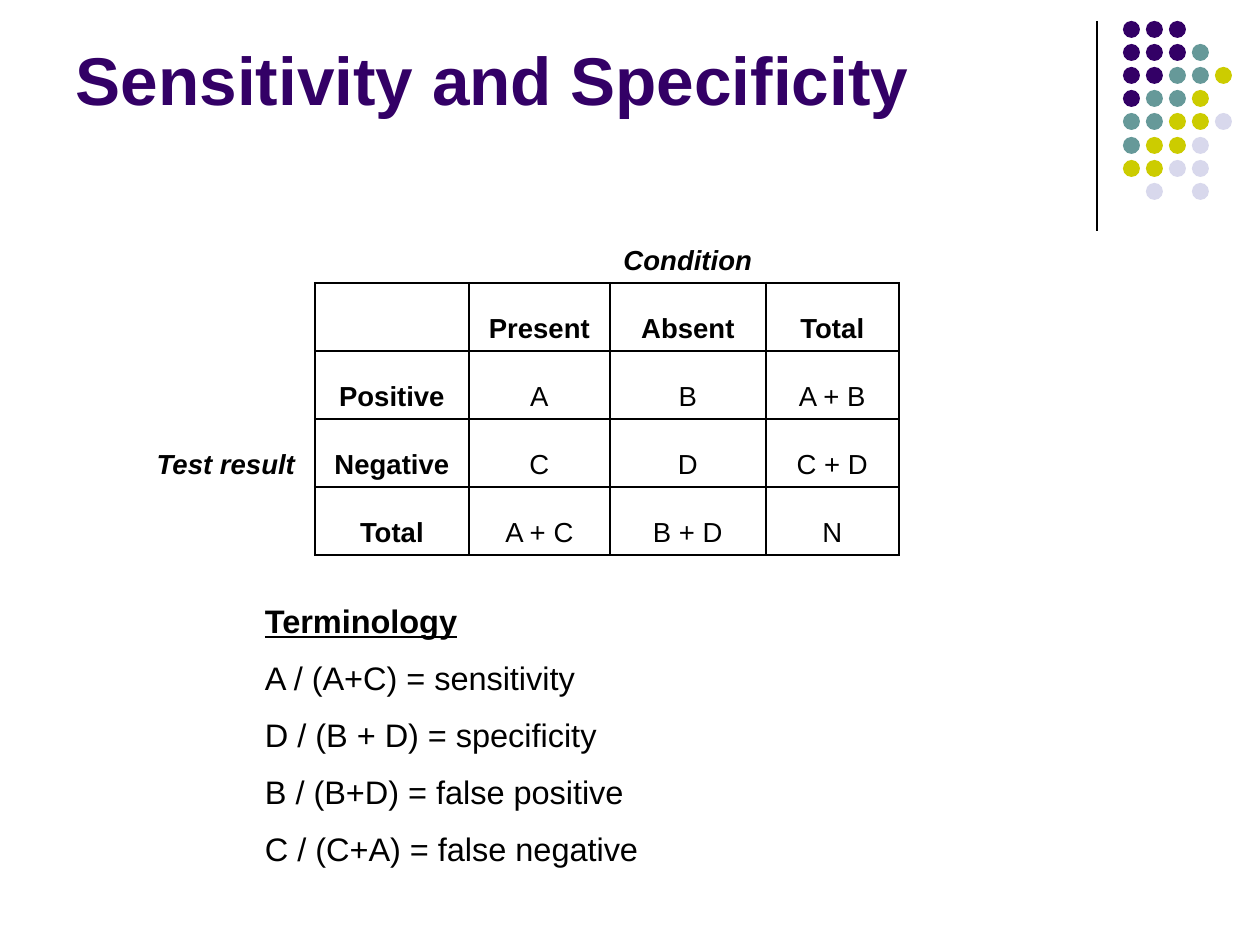
"""Build the sensitivity and specificity slide."""
from lxml import etree
from pptx import Presentation, util as u
from pptx.dml.color import RGBColor
from pptx.enum import shapes, text
from pptx.oxml.ns import qn

PX = 914400 // 180
FONT = "Arial"
COLORS = {"black": "000000", "white": "FFFFFF", "P": "330066",
          "T": "669999", "Y": "CCCC00", "L": "D8D8EC"}
DOTS = ["PPP", "PPPT", "PPTTY", "PTTY", "TTYYL", "TYYL", "YYLL", " L L"]
TITLE = "Sensitivity and Specificity"
TABLE = [
    ["", "", "", "Condition", ""],
    ["", "", "Present", "Absent", "Total"],
    ["", "Positive", "A", "B", "A + B"],
    ["Test result", "Negative", "C", "D", "C + D"],
    ["", "Total", "A + C", "B + D", "N"],
]
COLS = [178, 154, 141, 156, 133]
ROWS = [110, 68, 68, 68, 68]
TERMS = ["Terminology", "A / (A+C) = sensitivity", "D / (B + D) = specificity",
         "B / (B+D) = false positive", "C / (C+A) = false negative"]


def rgb(name):
    return RGBColor.from_string(COLORS[name])


def px(*values):
    return [u.Emu(v * PX) for v in values]


def style(font, size, color="black", **formats):
    values = {"name": FONT, "size": u.Pt(size), "bold": False, **formats}
    for key, value in values.items():
        setattr(font, key, value)
    font.color.rgb = rgb(color)


def inset(target):
    for side, value in zip(("left", "top", "right", "bottom"), px(13, 7, 13, 7)):
        setattr(target, f"margin_{side}", value)


def add_text(s, box, anchor):
    tf = s.shapes.add_textbox(*px(*box)).text_frame
    tf.word_wrap = True
    tf.vertical_anchor = anchor
    inset(tf)
    return tf


def add_borders(cell, row, col):
    sides = {"L": row and col, "R": row, "T": row and col, "B": col}
    for side, visible in sides.items():
        ln = etree.SubElement(cell._tc.get_or_add_tcPr(), qn(f"a:ln{side}"), w="12700")
        if visible:
            fill = etree.SubElement(ln, qn("a:solidFill"))
            etree.SubElement(fill, qn("a:srgbClr"), val=COLORS["black"])
        else:
            etree.SubElement(ln, qn("a:noFill"))


def fill_cell(cell, row, col, words):
    add_borders(cell, row, col)
    cell.fill.solid()
    cell.fill.fore_color.rgb = rgb("white")
    cell.vertical_anchor = text.MSO_ANCHOR.BOTTOM
    inset(cell)
    p = cell.text_frame.paragraphs[0]
    p.alignment = text.PP_ALIGN.CENTER
    if words:
        r = p.add_run()
        r.text = words
        style(r.font, 11, bold=row < 2 or col < 2, italic=row == 0 or col == 0)
    else:
        etree.SubElement(p._p, qn("a:endParaRPr"), sz="1100")


def add_decoration(s):
    line = s.shapes.add_connector(shapes.MSO_CONNECTOR.STRAIGHT, *px(1097, 21, 1097, 231))
    line.line.color.rgb = rgb("black")
    line.line.width = u.Pt(0.75)
    etree.SubElement(line._element.spPr, qn("a:effectLst"))
    for row, keys in enumerate(DOTS):
        for col, key in enumerate(keys):
            if key == " ":
                continue
            x, y = 1123 + col * 116 // 5, 21 + row * 116 // 5
            dot = s.shapes.add_shape(shapes.MSO_SHAPE.OVAL, *px(x, y, 17, 17))
            dot.shadow.inherit = False
            dot.fill.solid()
            dot.fill.fore_color.rgb = rgb(key)
            dot.line.fill.background()


def add_table(s):
    frame = s.shapes.add_table(len(ROWS), len(COLS), *px(137, 173, sum(COLS), sum(ROWS)))
    table = frame.table
    table.first_row = table.horz_banding = False
    for column, width in zip(table.columns, px(*COLS)):
        column.width = width
    for row, height in zip(table.rows, px(*ROWS)):
        row.height = height
    for row, line in enumerate(TABLE):
        for col, words in enumerate(line):
            fill_cell(table.cell(row, col), row, col, words)


def add_terms(s):
    tf = add_text(s, (252, 594, 715, 286), text.MSO_ANCHOR.TOP)
    for i, words in enumerate(TERMS):
        p = tf.add_paragraph() if i else tf.paragraphs[0]
        if i:
            p.space_before = u.Pt(7.2)
        r = p.add_run()
        r.text = words
        style(r.font, 13, bold=i == 0, underline=i == 0)


def main():
    prs = Presentation()
    prs.slide_width, prs.slide_height = px(1260, 945)
    s = prs.slides.add_slide(prs.slide_layouts[6])
    add_decoration(s)
    tf = add_text(s, (63, 16, 1039, 110), text.MSO_ANCHOR.BOTTOM)
    r = tf.paragraphs[0].add_run()
    r.text = TITLE
    style(r.font, 27, "P", bold=True)
    add_table(s)
    add_terms(s)
    prs.save("out.pptx")


if __name__ == "__main__":
    main()
